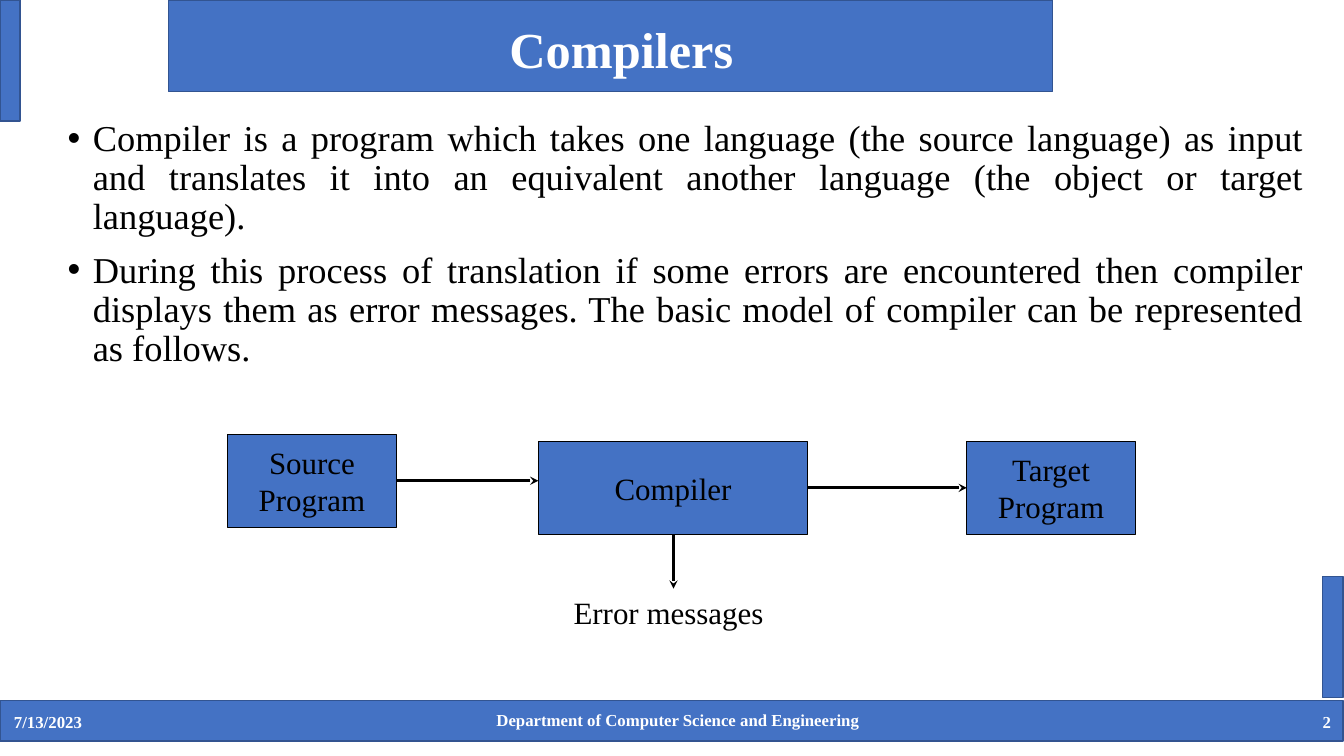
"""Build the Compilers slide; all places are percent shares of the slide."""
import dataclasses
import typing

import lxml.etree
import pptx
import pptx.dml.color
import pptx.enum.shapes
import pptx.enum.text
import pptx.oxml.ns
import pptx.util

WIDE, HIGH = pptx.util.Inches(13.33), pptx.util.Inches(7.5)
FONT = "Times New Roman"
BLUE, EDGE, BLACK, WHITE = "4472C4", "325491", "000000", "FFFFFF"
ALIGN = pptx.enum.text.PP_ALIGN
ANCHOR = pptx.enum.text.MSO_ANCHOR
Area = tuple[float, float, float, float]


@dataclasses.dataclass
class Style:
    size: float
    color: str = BLACK
    bold: bool = False
    align: typing.Any = ALIGN.CENTER
    anchor: typing.Any = ANCHOR.TOP
    wrap: bool = True
    para: dict = dataclasses.field(default_factory=dict)


@dataclasses.dataclass
class Box:
    area: Area
    text: str = ""
    edge: str = EDGE
    width: float = 1


@dataclasses.dataclass
class Label:
    area: Area
    text: str
    style: Style


NODE = Style(22.1, anchor=ANCHOR.MIDDLE, wrap=False)
HEAD = Style(36, WHITE, True, anchor=ANCHOR.MIDDLE, para={"line_spacing": 0.9})
BODY = Style(26, align=ALIGN.JUSTIFY,
             para={"line_spacing": 0.9, "space_before": pptx.util.Pt(10)})

BARS = [
    Box((0, 92.67, 99.92, 5.33)),
    Box((0, 0, 1.5, 16)),
    Box((12.53, 0, 65.79, 12.13)),
    Box((98.42, 76.27, 1.5, 16)),
]
NODES = [
    Box((40.06, 58.4, 20.03, 12.27), "Compiler", BLACK, 0.75),
    Box((71.94, 58.4, 12.53, 12.27), "Target\nProgram", BLACK, 0.75),
    Box((16.95, 57.47, 12.53, 12.27), "Source\nProgram", BLACK, 0.75),
]
LINKS = [
    (28.21, 63.6, 40.06, 63.6),
    (50.11, 70.8, 50.11, 77.87),
    (60.09, 64.53, 71.94, 64.53),
]
LABELS = [
    Label((0.3, 93.47, 22.5, 5.33), "7/13/2023",
          Style(12, WHITE, True, ALIGN.LEFT)),
    Label((77.27, 93.47, 22.5, 5.33), "2",
          Style(12, WHITE, True, ALIGN.RIGHT)),
    Label((29.86, 93.2, 41.19, 4),
          "Department of Computer Science and Engineering",
          Style(12, WHITE, True)),
    Label((41.94, 77.87, 15.83, 6.27), "Error messages",
          Style(22.1, align=ALIGN.LEFT, wrap=False)),
]
TITLE = Label((15.68, 2.27, 62.04, 9.2), "Compilers ", HEAD)
POINTS = Label((4.28, 15.2, 93.55, 39.87), "\n".join([
    "Compiler is a program which takes one language (the source language) "
    "as input and translates it into an equivalent another language "
    "(the object or target language).",
    "During this process of translation if some errors are encountered then "
    "compiler displays them as error messages. The basic model of compiler "
    "can be represented as follows.",
]), BODY)


def assign(item: typing.Any, values: dict) -> None:
    """Set each named value on the item."""
    for name, value in values.items():
        setattr(item, name, value)


def paint(target: typing.Any, color: str) -> None:
    """Colour a font, fill or line from a hex string."""
    fill = target if hasattr(target, "solid") else target.fill
    fill.solid()
    fill.fore_color.rgb = pptx.dml.color.RGBColor.from_string(color)


def scale(area: Area) -> list[int]:
    """Turn percent shares into slide lengths."""
    return [round(part * side / 100)
            for part, side in zip(area, (WIDE, HIGH, WIDE, HIGH))]


def add(parent: typing.Any, tag: str, **values: str) -> None:
    """Append a drawing element with its attributes."""
    lxml.etree.SubElement(parent, pptx.oxml.ns.qn(tag), values)


def write(shape: typing.Any, text: str, style: Style) -> None:
    """Fill a shape with styled text."""
    frame = shape.text_frame
    frame.text = text
    assign(frame, {"word_wrap": style.wrap, "vertical_anchor": style.anchor,
                   "auto_size": pptx.enum.text.MSO_AUTO_SIZE.NONE})
    for para in frame.paragraphs:
        assign(para, {"alignment": style.align} | style.para)
        for run in para.runs:
            assign(run.font, {"name": FONT, "bold": style.bold,
                              "size": pptx.util.Pt(style.size)})
            paint(run.font, style.color)


def draw_box(slide: typing.Any, box: Box) -> None:
    """Draw a filled box with its text."""
    shape = slide.shapes.add_shape(
        pptx.enum.shapes.MSO_SHAPE.RECTANGLE, *scale(box.area))
    shape.shadow.inherit = False
    paint(shape.fill, BLUE)
    paint(shape.line, box.edge)
    shape.line.width = pptx.util.Pt(box.width)
    if box.text:
        write(shape, box.text, NODE)


def draw_link(slide: typing.Any, ends: Area) -> None:
    """Draw an arrow between two points."""
    link = slide.shapes.add_connector(
        pptx.enum.shapes.MSO_CONNECTOR.STRAIGHT, *scale(ends))
    paint(link.line, BLACK)
    link.line.width = pptx.util.Pt(2)
    props = link.element.spPr
    add(props.find(pptx.oxml.ns.qn("a:ln")), "a:tailEnd", type="stealth")
    add(props, "a:effectLst")


def draw_label(slide: typing.Any, label: Label) -> None:
    """Draw a plain text box."""
    shape = slide.shapes.add_textbox(*scale(label.area))
    write(shape, label.text, label.style)


def place(holder: typing.Any, label: Label) -> None:
    """Move a placeholder to the front, fit it and fill it."""
    assign(holder, dict(zip(("left", "top", "width", "height"),
                            scale(label.area))))
    holder.element.getparent().append(holder.element)
    write(holder, label.text, label.style)


def mark(holder: typing.Any) -> None:
    """Give each paragraph a hanging bullet."""
    inset = pptx.util.Inches(0.25)
    for para in holder.text_frame.paragraphs:
        props = para._p.get_or_add_pPr()
        props.set("marL", str(inset))
        props.set("indent", str(-inset))
        add(props, "a:buFont", typeface="Arial")
        add(props, "a:buChar", char="•")


def main() -> None:
    """Build and save the deck."""
    deck = pptx.Presentation()
    assign(deck, {"slide_width": WIDE, "slide_height": HIGH})
    slide = deck.slides.add_slide(deck.slide_layouts[1])
    title, body = slide.placeholders
    for bar in BARS:
        draw_box(slide, bar)
    place(title, TITLE)
    place(body, POINTS)
    mark(body)
    for ends in LINKS:
        draw_link(slide, ends)
    for node in NODES:
        draw_box(slide, node)
    for label in LABELS:
        draw_label(slide, label)
    deck.save("out.pptx")


if __name__ == "__main__":
    main()
